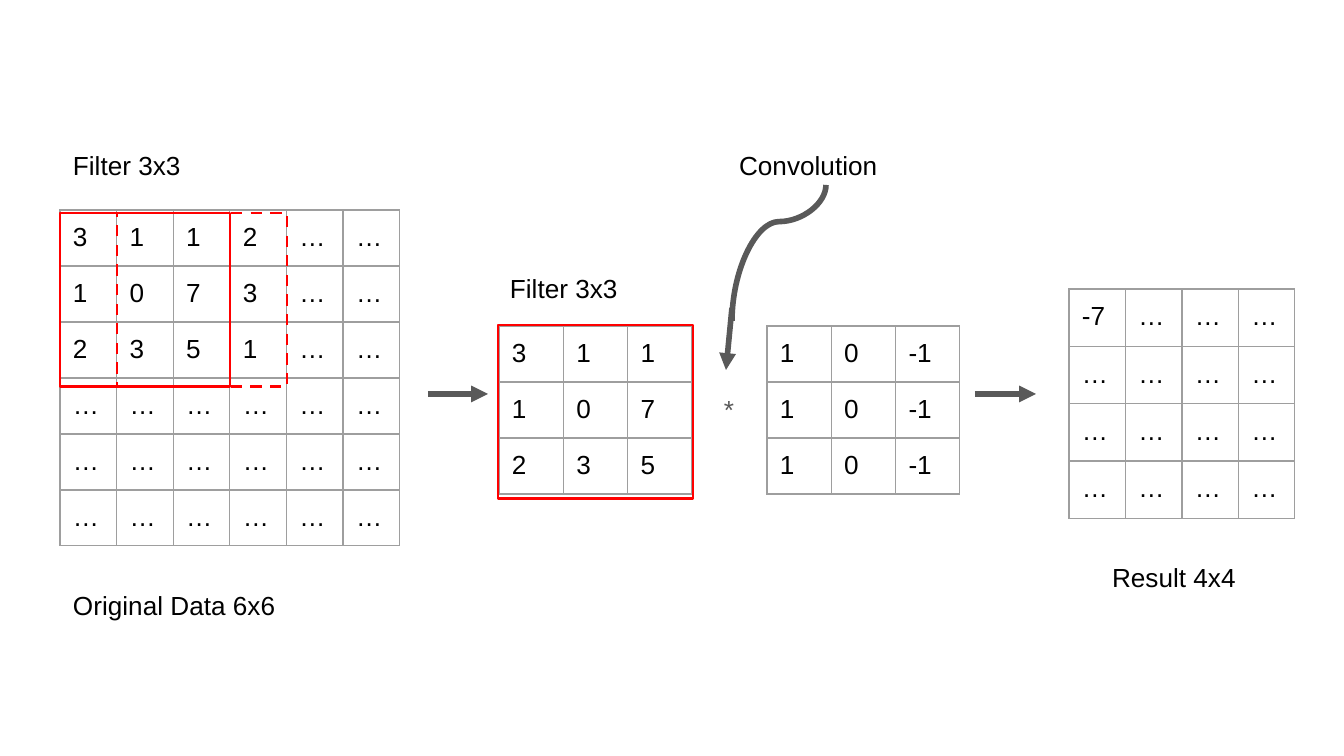
from lxml import etree
from pptx import Presentation
from pptx import util as u
from pptx.dml.color import RGBColor
from pptx.enum import dml, shapes, text
from pptx.oxml import ns

SCALE = 914400 / 134.4
COLORS = {"text": "000000", "arrow": "595959", "grid": "9E9E9E", "filter": "FF0000"}
INSET = 13
DOTS = "…"


def px(value):
    return u.Emu(round(value * SCALE))


def rgb(name):
    return RGBColor.from_string(COLORS[name])


def sub(parent, tag, **attributes):
    return etree.SubElement(parent, ns.qn(tag), attributes)


class Diagram:
    font = "Arial"
    size = u.Pt(14)

    def __init__(self, slide):
        self.slide = slide

    def put_text(self, frame, words, color="text"):
        run = frame.paragraphs[0].add_run()
        run.text = words
        run.font.name = self.font
        run.font.size = self.size
        run.font.color.rgb = rgb(color)

    def label(self, words, left, top, width, height=59, inset=INSET, color="text", centred=False):
        box = self.slide.shapes.add_textbox(px(left), px(top), px(width), px(height))
        frame = box.text_frame
        frame.word_wrap = True
        frame.margin_left = frame.margin_right = px(inset)
        frame.margin_top = frame.margin_bottom = px(inset)
        if centred:
            frame.vertical_anchor = text.MSO_ANCHOR.MIDDLE
            frame.paragraphs[0].alignment = text.PP_ALIGN.CENTER
        else:
            frame.auto_size = text.MSO_AUTO_SIZE.SHAPE_TO_FIT_TEXT
        self.put_text(frame, words, color)

    def matrix(self, rows, left, top, width, row_height=56):
        columns = len(rows[0])
        table = self.slide.shapes.add_table(
            len(rows), columns, px(left), px(top), px(width), px(row_height * len(rows))
        ).table
        table.first_row = table.horz_banding = False
        for column in table.columns:
            column.width = px(width / columns)
        for r, row in enumerate(rows):
            for c, value in enumerate(row):
                self.cell(table.cell(r, c), value)

    def cell(self, cell, value):
        cell.margin_left = cell.margin_right = px(INSET)
        cell.margin_top = cell.margin_bottom = px(INSET)
        self.put_text(cell.text_frame, value)
        properties = cell._tc.get_or_add_tcPr()
        for side in ("a:lnL", "a:lnR", "a:lnT", "a:lnB"):
            border = sub(properties, side, w=str(u.Pt(0.75)))
            sub(sub(border, "a:solidFill"), "a:srgbClr", val=COLORS["grid"])
        cell.fill.background()

    def window(self, left, top, width, height, dashed=False):
        frame = self.slide.shapes.add_shape(
            shapes.MSO_SHAPE.RECTANGLE, px(left), px(top), px(width), px(height)
        )
        frame.shadow.inherit = False
        frame.fill.background()
        frame.line.color.rgb = rgb("filter")
        frame.line.width = u.Pt(1.5)
        if dashed:
            frame.line.dash_style = dml.MSO_LINE.DASH

    def line(self, start, end, kind=shapes.MSO_CONNECTOR.STRAIGHT, head=True):
        connector = self.slide.shapes.add_connector(kind, *map(px, start + end))
        connector.line.color.rgb = rgb("arrow")
        connector.line.width = u.Pt(3)
        properties = connector._element.spPr
        if head:
            sub(properties.find(ns.qn("a:ln")), "a:tailEnd", type="triangle")
        sub(properties, "a:effectLst")
        return properties

    def turned_curve(self, start, end, bend):
        properties = self.line(start, end, shapes.MSO_CONNECTOR.CURVE, head=False)
        properties.find(ns.qn("a:xfrm")).set("rot", str(90 * 60000))
        adjustments = properties.find(ns.qn("a:prstGeom")).find(ns.qn("a:avLst"))
        sub(adjustments, "a:gd", name="adj1", fmla=f"val {round(bend * 100000)}")


presentation = Presentation()
presentation.slide_width = px(1344)
presentation.slide_height = px(756)
diagram = Diagram(presentation.slides.add_slide(presentation.slide_layouts[6]))

patch = [["3", "1", "1"], ["1", "0", "7"], ["2", "3", "5"]]
kernel = [["1", "0", "-1"]] * 3
data = [row + [edge] + [DOTS] * 2 for row, edge in zip(patch, "231")] + [[DOTS] * 6] * 3
result = [["-7"] + [DOTS] * 3] + [[DOTS] * 4] * 3

diagram.matrix(data, 60, 210, 340)
diagram.matrix(patch, 499, 326, 193)
diagram.line((428, 394), (488, 394))
diagram.matrix(kernel, 767, 326, 193)
diagram.label("*", 707, 388, 44, 42, inset=0, color="arrow", centred=True)
diagram.line((975, 394), (1036, 394))
diagram.matrix(result, 1069, 289, 226)

diagram.window(60, 213, 170, 174)
diagram.window(498, 325, 195, 174)

for words, left, top, width in (
    ("Filter 3x3", 60, 136, 145),
    ("Filter 3x3", 497, 259, 145),
    ("Convolution", 726, 136, 184),
    ("Original Data 6x6", 60, 576, 341),
    ("Result 4x4", 1099, 548, 184),
):
    diagram.label(words, left, top, width)

diagram.turned_curve((711, 206), (847, 300), 0.27)
diagram.line((732, 308), (726, 370))
diagram.window(117, 213, 170, 174, dashed=True)

presentation.save("out.pptx")
